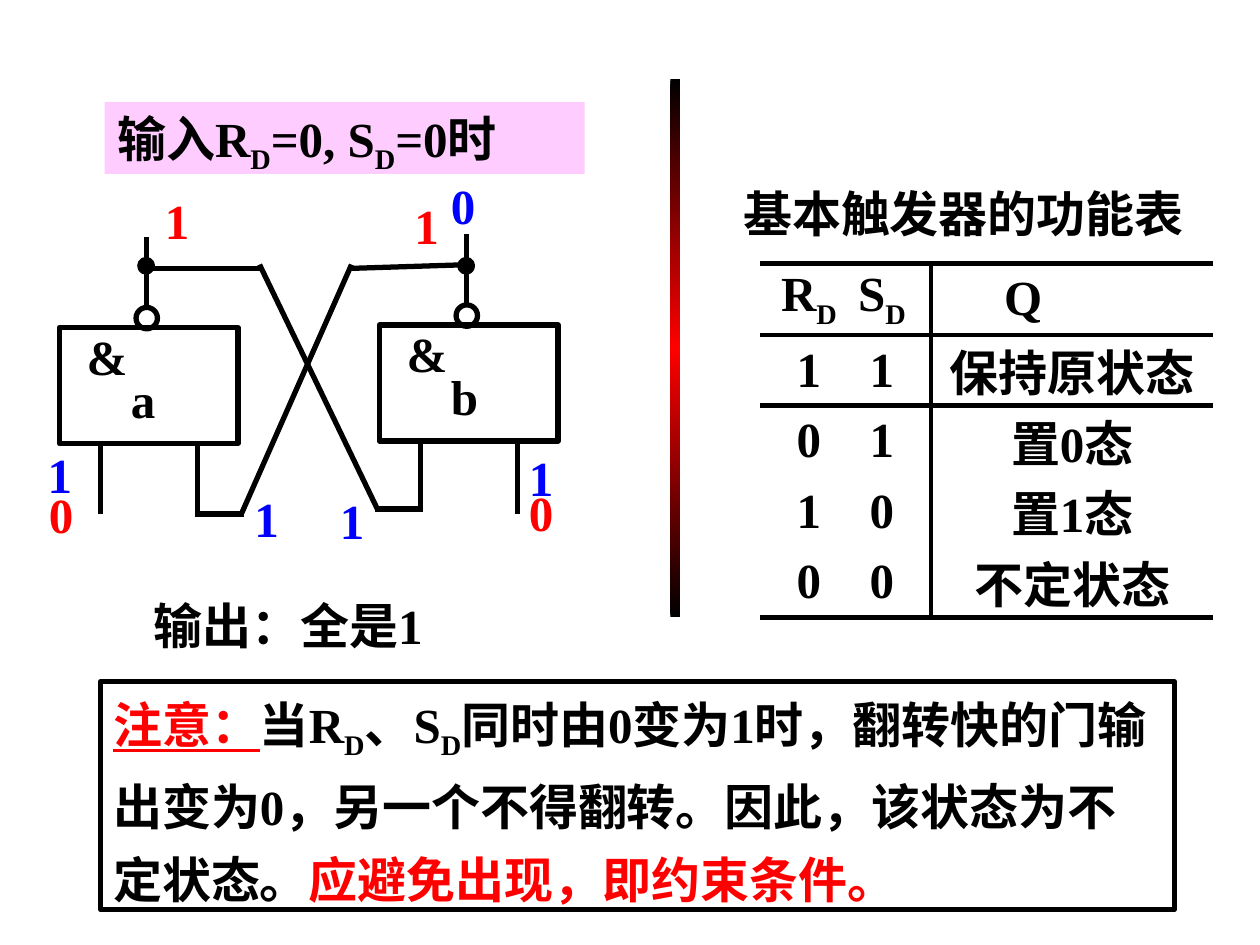
from copy import deepcopy

from lxml import etree
from pptx import Presentation
from pptx.dml.color import RGBColor
from pptx.enum import shapes, text
from pptx.oxml import ns
from pptx.util import Inches, Pt

COLORS = {"ink": "000000", "red": "FF0000", "blue": "0000FF", "banner": "FFCCFF"}
FONT = "Times New Roman"
STROKE = Pt(3)
NO_TABLE_STYLE = "{2D5ABB26-0587-4C30-8999-92F81FD0307C}"


def rgb(name):
    return RGBColor.from_string(COLORS[name])


def write(paragraph, content, color="ink", underline=False, align=text.PP_ALIGN.LEFT):
    paragraph.alignment = align
    for index, part in enumerate(content.split("~")):
        if not part:
            continue
        run = paragraph.add_run()
        run.text = part
        run.font.name = FONT
        run.font.size = Pt(28)
        run.font.bold = True
        run.font.underline = underline
        run.font.color.rgb = rgb(color)
        if index % 2:
            run._r.get_or_add_rPr().set("baseline", "-25000")


def add_label(slide, content, left, top, width=0.56, **style):
    label = slide.shapes.add_textbox(*map(Inches, (left, top, width, 0.57)))
    label.text_frame.word_wrap = True
    write(label.text_frame.paragraphs[0], content, **style)


def add_block(slide, kind, left, top, width, height, fill=None, outlined=True):
    block = slide.shapes.add_shape(kind, *map(Inches, (left, top, width, height)))
    block.shadow.inherit = False
    if fill:
        block.fill.solid()
        block.fill.fore_color.rgb = rgb(fill)
    else:
        block.fill.background()
    if outlined:
        block.line.color.rgb = rgb("ink")
        block.line.width = STROKE
    else:
        block.line.fill.background()
    return block


def add_wire(slide, *ends):
    wire = slide.shapes.add_connector(shapes.MSO_CONNECTOR.STRAIGHT, *map(Inches, ends))
    wire.line.color.rgb = rgb("ink")
    wire.line.width = STROKE
    etree.SubElement(wire._element.spPr, ns.qn("a:effectLst"))


def add_gate(slide, name, left, top):
    add_block(slide, shapes.MSO_SHAPE.RECTANGLE, left, top, 1.42, 0.92)
    add_block(slide, shapes.MSO_SHAPE.OVAL, left + 0.61, top - 0.16, 0.17, 0.17)
    add_block(slide, shapes.MSO_SHAPE.OVAL, left + 0.64, 2.06, 0.1, 0.1, fill="ink")
    output = left + 0.69
    add_wire(slide, output, top - 0.72, output, top - 0.14)
    for offset, drop in ((0.33, 0.9), (1.1, 0.92)):
        add_wire(slide, left + offset, top + drop, left + offset, top + drop + 0.58)
    add_label(slide, "&", left + 0.12, top - 0.06, 1)
    add_label(slide, name, left + 0.47, top + 0.28, 0.71)


def add_circuit(slide):
    add_gate(slide, "a", 0.47, 2.6)
    add_gate(slide, "b", 3.01, 2.58)
    for ends in (
        (1.15, 2.13, 2.08, 2.13),
        (2.06, 2.1, 3, 4.05),
        (2.98, 4.04, 3.35, 4.04),
        (2.79, 2.13, 3.73, 2.1),
        (2.79, 2.1, 1.92, 4.07),
        (1.56, 4.08, 1.94, 4.08),
    ):
        add_wire(slide, *ends)
    for value, color, left, top in (
        ("0", "red", 0.29, 3.8),
        ("0", "red", 4.1, 3.78),
        ("1", "red", 1.21, 1.46),
        ("1", "red", 3.19, 1.5),
        ("1", "blue", 1.92, 3.83),
        ("1", "blue", 2.6, 3.84),
        ("1", "blue", 0.28, 3.48),
        ("1", "blue", 4.1, 3.5),
        ("0", "blue", 3.48, 1.34),
    ):
        add_label(slide, value, left, top, color=color)


def add_divider(slide):
    divider = add_block(slide, shapes.MSO_SHAPE.RECTANGLE, 5.32, 0.63, 0.08, 4.27, outlined=False)
    divider.fill.gradient()
    divider.fill.gradient_angle = 90
    stops = divider._element.spPr.find(".//" + ns.qn("a:gsLst"))
    stops.insert(1, deepcopy(stops[0]))
    for stop, position, color in zip(divider.fill.gradient_stops, (0, 0.5, 1), ("ink", "red", "ink")):
        stop.position = position
        stop.color.rgb = rgb(color)


def set_borders(cell, sides):
    properties = cell._tc.get_or_add_tcPr()
    for side in ("L", "R", "T", "B"):
        if side in sides:
            border = etree.SubElement(properties, ns.qn("a:ln" + side), w=str(STROKE))
            fill = etree.SubElement(border, ns.qn("a:solidFill"))
            etree.SubElement(fill, ns.qn("a:srgbClr"), val=COLORS["ink"])


def add_function_table(slide):
    rows = (
        ("R~D~", "S~D~", "Q"),
        ("1", "1", "保持原状态"),
        ("0", "1", "置0态"),
        ("1", "0", "置1态"),
        ("0", "0", "不定状态"),
    )
    frame = slide.shapes.add_table(len(rows), 3, *map(Inches, (6.03, 2.09, 3.6, 2.82)))
    table = frame.table
    table.first_row = table.horz_banding = False
    table._tbl.tblPr.find(ns.qn("a:tableStyleId")).text = NO_TABLE_STYLE
    for column, width in zip(table.columns, (0.68, 0.68, 2.24)):
        column.width = Inches(width)
    for r, values in enumerate(rows):
        table.rows[r].height = Inches(0.56 if r else 0.57)
        for c, value in enumerate(values):
            cell = table.cell(r, c)
            cell.margin_top = cell.margin_bottom = 0
            cell.margin_left = Inches(0.1 if c == 0 else 0)
            cell.margin_right = Inches(0.1 if c == 1 else 0)
            cell.vertical_anchor = text.MSO_ANCHOR.MIDDLE
            align = text.PP_ALIGN.CENTER
            if value == "Q":
                cell.margin_left = Inches(0.58)
                align = text.PP_ALIGN.LEFT
            write(cell.text_frame.paragraphs[0], value, align=align)
            sides = {0: "TB", 1: "T", len(rows) - 1: "B"}.get(r, "")
            set_borders(cell, sides + ("", "R", "L")[c])
            cell.fill.background()


def add_title(slide):
    title = slide.shapes.title
    title.left, title.top, title.width, title.height = map(Inches, (0.83, 0.81, 3.81, 0.57))
    title.fill.solid()
    title.fill.fore_color.rgb = rgb("banner")
    title.text_frame.auto_size = text.MSO_AUTO_SIZE.NONE
    title.text_frame.vertical_anchor = text.MSO_ANCHOR.TOP
    write(title.text_frame.paragraphs[0], "输入R~D~=0, S~D~=0时")


def add_note(slide):
    note = add_block(slide, shapes.MSO_SHAPE.RECTANGLE, 0.8, 5.41, 8.52, 1.81)
    note.text_frame.vertical_anchor = text.MSO_ANCHOR.TOP
    paragraph = note.text_frame.paragraphs[0]
    paragraph.line_spacing = Pt(42)
    write(paragraph, "注意：", color="red", underline=True)
    write(paragraph, "当R~D~、S~D~同时由0变为1时，翻转快的门输出变为0，另一个不得翻转。因此，该状态为不定状态。")
    write(paragraph, "应避免出现，即约束条件。", color="red")


def main():
    deck = Presentation()
    deck.slide_width, deck.slide_height = Inches(10), Inches(7.5)
    slide = deck.slides.add_slide(deck.slide_layouts[5])
    add_title(slide)
    add_circuit(slide)
    add_label(slide, "输出：全是1", 1.12, 4.68, 3.31)
    add_divider(slide)
    add_label(slide, "基本触发器的功能表", 5.8, 1.41, 4.29)
    add_function_table(slide)
    add_note(slide)
    deck.save("out.pptx")


if __name__ == "__main__":
    main()
